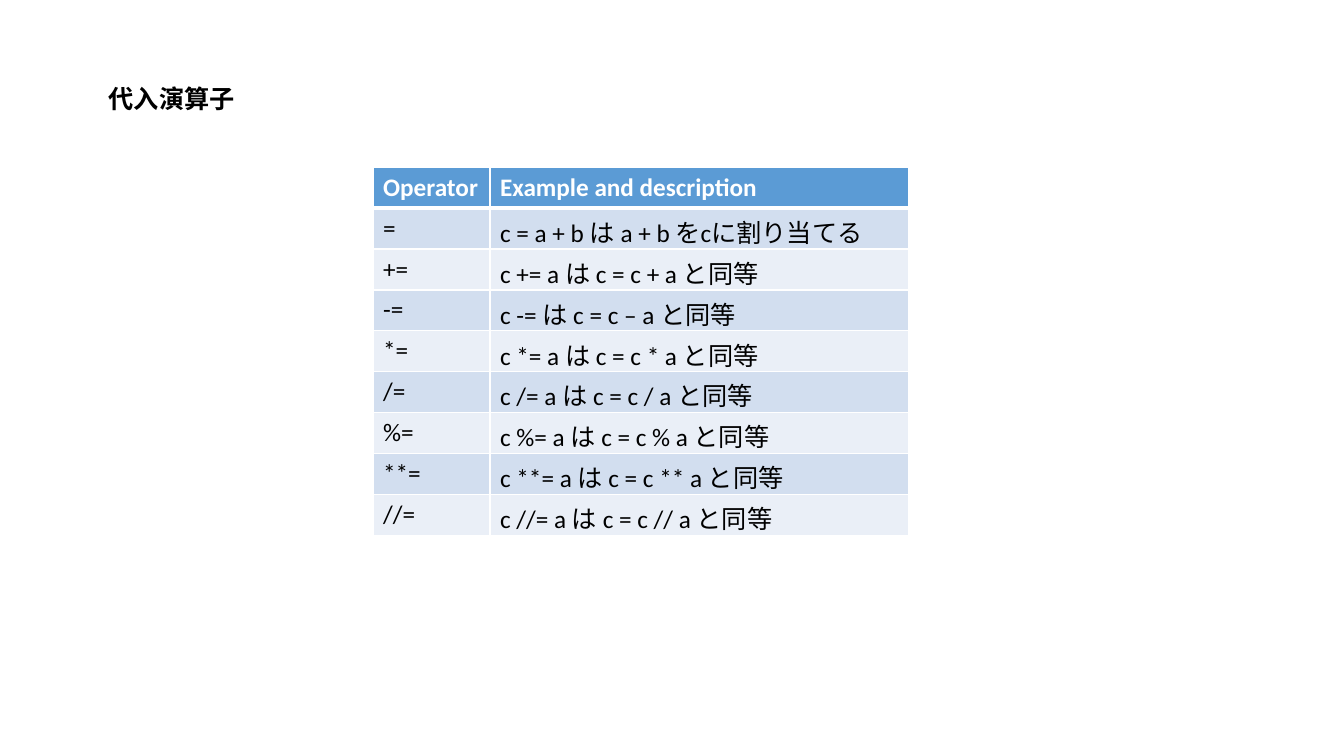
import pptx
import pptx.dml.color
import pptx.oxml.ns
import pptx.util
from lxml import etree

Inches = pptx.util.Inches
Pt = pptx.util.Pt
RGBColor = pptx.dml.color.RGBColor
qn = pptx.oxml.ns.qn

BLACK = RGBColor(0x00, 0x00, 0x00)
WHITE = RGBColor(0xFF, 0xFF, 0xFF)
HEADER_BLUE = RGBColor(0x5B, 0x9B, 0xD5)
BANDS = [RGBColor(0xD2, 0xDE, 0xEF), RGBColor(0xEA, 0xEF, 0xF7)]
LATIN = "Calibri"
JAPANESE = "Noto Sans CJK JP"


def write(tf, text, font=LATIN, color=BLACK, bold=False):
    r = tf.paragraphs[0].add_run()
    r.text = text
    r.font.name = font
    r.font.size = Pt(18)
    r.font.bold = bold
    r.font.color.rgb = color
    etree.SubElement(r.font._element, qn("a:ea"), typeface=JAPANESE)


def add_border(cell, side, width):
    ln = etree.SubElement(cell._tc.get_or_add_tcPr(), qn("a:ln" + side), w=str(Pt(width)))
    fill = etree.SubElement(ln, qn("a:solidFill"))
    etree.SubElement(fill, qn("a:srgbClr"), val=str(WHITE))


prs = pptx.Presentation()
prs.slide_width = Inches(13.33)
prs.slide_height = Inches(7.5)
s = prs.slides.add_slide(prs.slide_layouts[6])

# Title
title = s.shapes.add_textbox(Inches(0.98), Inches(0.78), Inches(1.47), Inches(0.4))
title.text_frame.word_wrap = False
write(title.text_frame, "代入演算子", font=JAPANESE, bold=True)

# Table content
rows = [
    ("Operator", "Example and description"),
    ("=", "c = a + b は a + b をcに割り当てる"),
    ("+=", "c += a は c = c + a と同等"),
    ("-= ", "c -= は c = c – a と同等"),
    ("*= ", "c *= a は c = c * a と同等"),
    ("/=", "c /= a は c = c / a と同等"),
    ("%= ", "c %= a は c = c % a と同等"),
    ("**= ", "c **= a は c = c ** a と同等"),
    ("//=", "c //= a は c = c // a と同等"),
]

# Operator table
table = s.shapes.add_table(len(rows), 2, Inches(3.7), Inches(1.66),
                           Inches(5.31), Inches(3.65)).table
table.columns[0].width = Inches(1.16)
table.columns[1].width = Inches(4.15)
for i, row in enumerate(rows):
    header = i == 0
    for j, text in enumerate(row):
        cell = table.cell(i, j)
        for side in "LRTB":
            thick = (header and side == "B") or (i == 1 and side == "T")
            add_border(cell, side, 3 if thick else 1)
        cell.fill.solid()
        cell.fill.fore_color.rgb = HEADER_BLUE if header else BANDS[(i - 1) % 2]
        write(cell.text_frame, text, color=WHITE if header else BLACK, bold=header)

prs.save("out.pptx")
